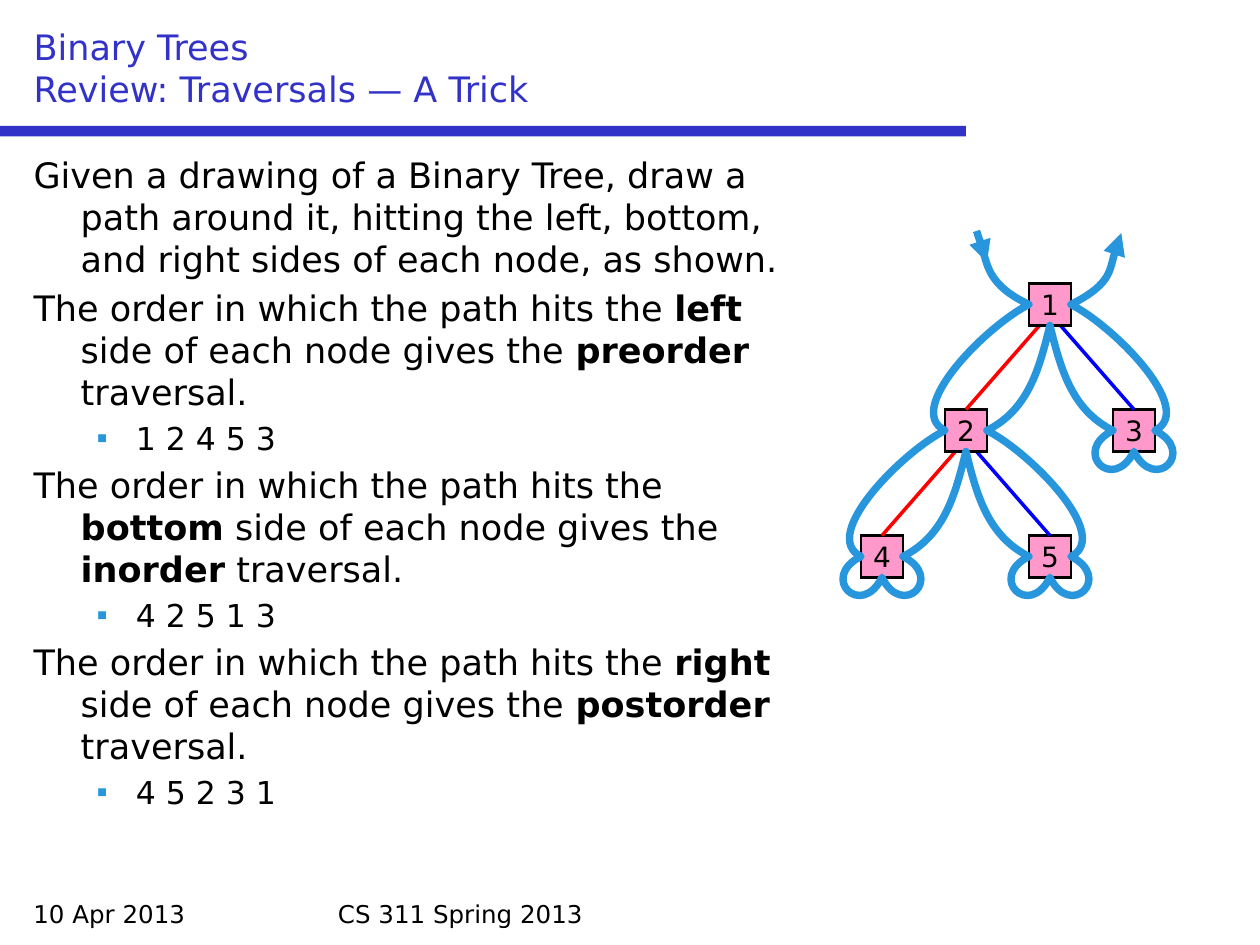
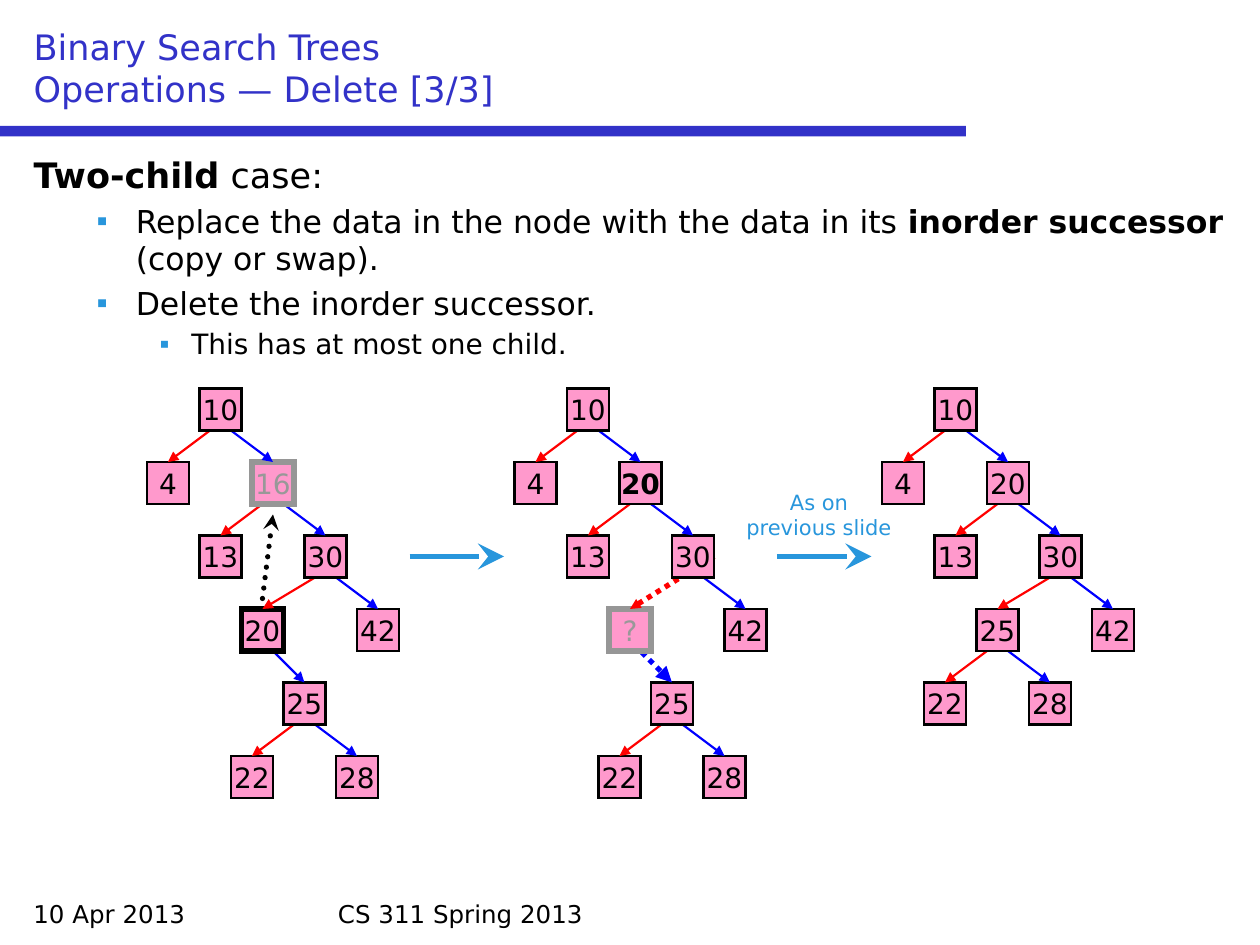
from dataclasses import dataclass

from lxml import etree
from pptx import Presentation
from pptx.dml.color import RGBColor
from pptx.enum.dml import MSO_LINE
from pptx.enum.shapes import MSO_CONNECTOR, MSO_SHAPE
from pptx.enum.text import MSO_ANCHOR, MSO_AUTO_SIZE, PP_ALIGN
from pptx.oxml.ns import qn
from pptx.util import Cm, Pt

STRAIGHT = MSO_CONNECTOR.STRAIGHT
RECTANGLE = MSO_SHAPE.RECTANGLE
DOTTED = MSO_LINE.ROUND_DOT
LEFT, CENTER = PP_ALIGN.LEFT, PP_ALIGN.CENTER
TOP_SIDE = 0


@dataclass(frozen=True)
class Theme:
    font: str = "DejaVu Sans"
    ink: str = "000000"
    title: str = "3232C8"
    accent: str = "2896DC"
    node: str = "FF99CC"
    left_edge: str = "FF0000"
    right_edge: str = "0000FF"
    gone_line: str = "969696"
    gone_text: str = "989898"
    title_size: int = 20
    body_sizes: tuple = (20, 18, 16)
    node_size: int = 16
    footer_size: int = 14
    note_size: int = 12
    thin: float = 1.25
    medium: float = 2
    heavy: float = 3
    route: float = 4.25


THEME = Theme()

# Everything sits on a grid of twelve steps to the inch
STEP = 2.54 / 12
NODE_SIDE = 4
BAND = (0, 12, 92, 1)
TITLE_BOX = (2, 2, 116, 9)
FOOTERS = [("10 Apr 2013", (2, 85, 28, 4)),
           ("CS 311 Spring 2013", (31, 85, 58, 4))]
# Left margin and first-line indent of each list level, in cm
INDENTS = [(0.95, -0.95), (2.06, -0.79), (3.18, -0.64)]

# Content: lists are (level, text), with bold words between asterisks
TRAVERSAL = {
    "title": ["Binary Trees", "Review: Traversals — A Trick"],
    "box": (2, 14, 77, 70),
    "body": [
        (0, "Given a drawing of a Binary Tree, draw a path around it, hitting "
            "the left, bottom, and right sides of each node, as shown."),
        (0, "The order in which the path hits the *left* side of each node "
            "gives the *preorder* traversal."),
        (1, "1 2 4 5 3"),
        (0, "The order in which the path hits the *bottom* side of each node "
            "gives the *inorder* traversal."),
        (1, "4 2 5 1 3"),
        (0, "The order in which the path hits the *right* side of each node "
            "gives the *postorder* traversal."),
        (1, "4 5 2 3 1"),
    ],
}
DELETION = {
    "title": ["Binary Search Trees", "Operations — Delete [3/3]"],
    "box": (2, 14, 116, 70),
    "body": [
        (0, "*Two-child* case:"),
        (1, "Replace the data in the node with the data in its "
            "*inorder successor* (copy or swap)."),
        (1, "Delete the inorder successor."),
        (2, "This has at most one child."),
    ],
}

# Trees: label -> (column, level, left child, right child)
SMALL_TREE = {
    "1": (98, 0, "2", "3"), "2": (90, 1, "4", "5"), "3": (106, 1, None, None),
    "4": (82, 2, None, None), "5": (98, 2, None, None),
}
BEFORE = {
    "10": (19, 0, "4", "16"), "4": (14, 1, None, None),
    "16": (24, 1, "13", "30"), "13": (19, 2, None, None),
    "30": (29, 2, "20", "42"), "20": (23, 3, None, "25"),
    "42": (34, 3, None, None), "25": (27, 4, "22", "28"),
    "22": (22, 5, None, None), "28": (32, 5, None, None),
}
RENAMED = {"16": "20", "20": "?"}
REPLACED = {RENAMED.get(label, label):
            (column, level, RENAMED.get(left, left), RENAMED.get(right, right))
            for label, (column, level, left, right) in BEFORE.items()}
AFTER = {
    "10": (19, 0, "4", "20"), "4": (14, 1, None, None),
    "20": (24, 1, "13", "30"), "13": (19, 2, None, None),
    "30": (29, 2, "25", "42"), "42": (34, 3, None, None),
    "25": (23, 3, "22", "28"), "22": (18, 4, None, None),
    "28": (28, 4, None, None),
}
# Each stage: tree, node looks, dotted edges with start inside parent, head size
STAGES = [
    (BEFORE, {"16": "gone", "20": "heavy"}, {}),
    (REPLACED, {"20": "bold", "?": "gone"},
     {("30", "?"): (4, 2, "sm"), ("?", "25"): (1, 2, "med")}),
    (AFTER, {}, {}),
]
STAGE_GAP = 35
STAGE_ARROWS = [(39, 53, 48, 53), (74, 53, 83, 53)]
COPY_ARROW = (25, 57, 26, 49)
NOTE = (["As on", "previous slide"], (68, 46, 20, 6))

# Route around the small tree: (first control, second control, stop)
ROUTE_ENTRY = (93, 22, 94, 25)
ROUTE_START = (93.4, 22.9)
ROUTE = [
    ((94, 25.2), (94, 27.1), (98, 29)), ((94, 31), (86, 39), (90, 41)),
    ((86, 43), (78, 51), (82, 53)), ((78, 55), (82, 59), (84, 55)),
    ((86, 59), (90, 55), (86, 53)), ((90, 51), (91, 47), (92, 43)),
    ((93, 47), (94, 51), (98, 53)), ((94, 55), (98, 59), (100, 55)),
    ((102, 59), (106, 55), (102, 53)), ((106, 51), (98, 43), (94, 41)),
    ((98, 39), (99, 35), (100, 31)), ((101, 35), (102, 39), (106, 41)),
    ((102, 43), (106, 47), (108, 43)), ((110, 47), (114, 43), (110, 41)),
    ((114, 39), (106, 31), (102, 29)), ((106, 27), (106.3, 23.2), (106.8, 22.2)),
]


def grid(*steps):
    return [Cm(step * STEP) for step in steps]


# Text
def add_span(para, text, size, color=THEME.ink, bold=False):
    span = para.add_run()
    span.text = text
    span.font.name, span.font.size, span.font.bold = THEME.font, Pt(size), bold
    span.font.color.rgb = RGBColor.from_string(color)


def add_lines(para, lines, size, color):
    for number, line in enumerate(lines):
        if number:
            para.add_line_break()
        add_span(para, line, size, color)


def add_label(page, lines, place, size, color=THEME.ink, align=LEFT):
    box = page.shapes.add_textbox(*grid(*place))
    box.text_frame.word_wrap = True
    para = box.text_frame.paragraphs[0]
    para.alignment = align
    add_lines(para, lines, size, color)


def set_bullet(para, level):
    props = para._p.get_or_add_pPr()
    margin, indent = INDENTS[level]
    props.set("marL", str(Cm(margin)))
    props.set("indent", str(Cm(indent)))
    if level == 0:
        etree.SubElement(props, qn("a:buNone"))
        return
    tint = etree.SubElement(props, qn("a:buClr"))
    etree.SubElement(tint, qn("a:srgbClr"), val=THEME.accent)
    etree.SubElement(props, qn("a:buChar"), char="▪")


def place_frame(holder, place):
    holder.left, holder.top, holder.width, holder.height = grid(*place)
    holder.text_frame.auto_size = MSO_AUTO_SIZE.NONE
    return holder.text_frame


def add_page(deck, content):
    page = deck.slides.add_slide(deck.slide_layouts[1])
    band = page.shapes.add_shape(RECTANGLE, *grid(*BAND))
    band.shadow.inherit = False
    band.fill.solid()
    band.fill.fore_color.rgb = RGBColor.from_string(THEME.title)
    band.line.fill.background()
    for text, place in FOOTERS:
        add_label(page, [text], place, THEME.footer_size)

    heading = place_frame(page.shapes.title, TITLE_BOX)
    heading.vertical_anchor = MSO_ANCHOR.BOTTOM
    heading.paragraphs[0].alignment = LEFT
    add_lines(heading.paragraphs[0], content["title"], THEME.title_size, THEME.title)

    body = place_frame(page.placeholders[1], content["box"])
    for number, (level, text) in enumerate(content["body"]):
        para = body.add_paragraph() if number else body.paragraphs[0]
        size = THEME.body_sizes[level]
        para.level = level
        set_bullet(para, level)
        para.space_before = Pt(size * 0.2 if number else 0)
        for part, words in enumerate(text.split("*")):
            if words:
                add_span(para, words, size, bold=part % 2 == 1)
    return page


# Lines and trees
def style_line(shape, color, width, head=None, dash=None, head_size="med"):
    shape.line.color.rgb = RGBColor.from_string(color)
    shape.line.width = Pt(width)
    if dash:
        shape.line.dash_style = dash
    outline = shape.element.spPr.find(qn("a:ln"))
    if head:
        etree.SubElement(outline, qn("a:tailEnd"), type=head,
                         w=head_size, len=head_size)
    return outline


def add_link(page, ends, color, width, head=None, dash=None, head_size="med"):
    link = page.shapes.add_connector(STRAIGHT, *grid(*ends))
    style_line(link, color, width, head, dash, head_size)
    etree.SubElement(link.element.spPr, qn("a:effectLst"))
    return link


def add_node(page, label, column, row, look):
    node = page.shapes.add_shape(
        RECTANGLE, *grid(column, row, NODE_SIDE, NODE_SIDE))
    node.shadow.inherit = False
    node.fill.solid()
    node.fill.fore_color.rgb = RGBColor.from_string(THEME.node)
    gone = look == "gone"
    outline = style_line(node, THEME.gone_line if gone else THEME.ink,
                         THEME.heavy if look in ("gone", "heavy") else THEME.thin)
    etree.SubElement(outline, qn("a:miter"), lim="800000")
    frame = node.text_frame
    frame.word_wrap = False
    frame.vertical_anchor = MSO_ANCHOR.MIDDLE
    frame.paragraphs[0].alignment = CENTER
    add_span(frame.paragraphs[0], label, THEME.node_size,
             THEME.gone_text if gone else THEME.ink, look == "bold")
    return node


def add_tree(page, tree, label, top, level_gap, shift=0, looks={}, dotted={},
             width=THEME.thin, head="triangle"):
    """Draw the subtree at label: children, then edges, then the node."""
    column, level, *children = tree[label]
    column, row = column + shift, top + level * level_gap
    sides = zip(children, (1, 3), (THEME.left_edge, THEME.right_edge))
    for child, exit_step, color in sides:
        if child is None:
            continue
        child_node = add_tree(page, tree, child, top, level_gap, shift, looks,
                              dotted, width, head)
        is_dotted = (label, child) in dotted
        across, down, head_size = dotted.get((label, child),
                                             (exit_step, NODE_SIDE, "med"))
        start = (column + across, row + down)
        edge = add_link(page, start + start, color,
                        THEME.heavy if is_dotted else width, head,
                        DOTTED if is_dotted else None, head_size)
        edge.end_connect(child_node, TOP_SIDE)
    return add_node(page, label, column, row, looks.get(label))


def add_route(page):
    builder = page.shapes.build_freeform(*grid(*ROUTE_START))
    corners = [tuple(grid(*corner)) for curve in ROUTE for corner in curve]
    builder.add_line_segments(corners, close=False)
    route = builder.convert_to_shape()
    # Every three straight pieces become one curve
    pieces = list(route.element.iter(qn("a:lnTo")))
    outline = pieces[0].getparent()
    for first in range(0, len(pieces), 3):
        curve = etree.SubElement(outline, qn("a:cubicBezTo"))
        for piece in pieces[first:first + 3]:
            curve.append(piece[0])
            outline.remove(piece)
    route.shadow.inherit = False
    route.fill.background()
    style_line(route, THEME.accent, THEME.route, "triangle")
    add_link(page, ROUTE_ENTRY, THEME.accent, THEME.route, "triangle")


def main():
    deck = Presentation()
    deck.slide_width, deck.slide_height = Cm(25.4), Cm(19.05)

    # Traversal trick
    page = add_page(deck, TRAVERSAL)
    add_tree(page, SMALL_TREE, "1", 27, 12, width=THEME.medium, head=None)
    add_route(page)

    # Deletion in three stages
    page = add_page(deck, DELETION)
    for number, (tree, looks, dotted) in enumerate(STAGES):
        add_tree(page, tree, "10", 37, 7, number * STAGE_GAP, looks, dotted)
    for ends in STAGE_ARROWS:
        add_link(page, ends, THEME.accent, THEME.heavy, "stealth", head_size="lg")
    copy_arrow = add_link(page, COPY_ARROW, THEME.ink, THEME.heavy, "stealth", DOTTED)
    copy_arrow.element.spPr.find(qn("a:ln")).set("cap", "rnd")
    add_label(page, *NOTE, THEME.note_size, THEME.accent, CENTER)

    deck.save("out.pptx")


if __name__ == "__main__":
    main()
